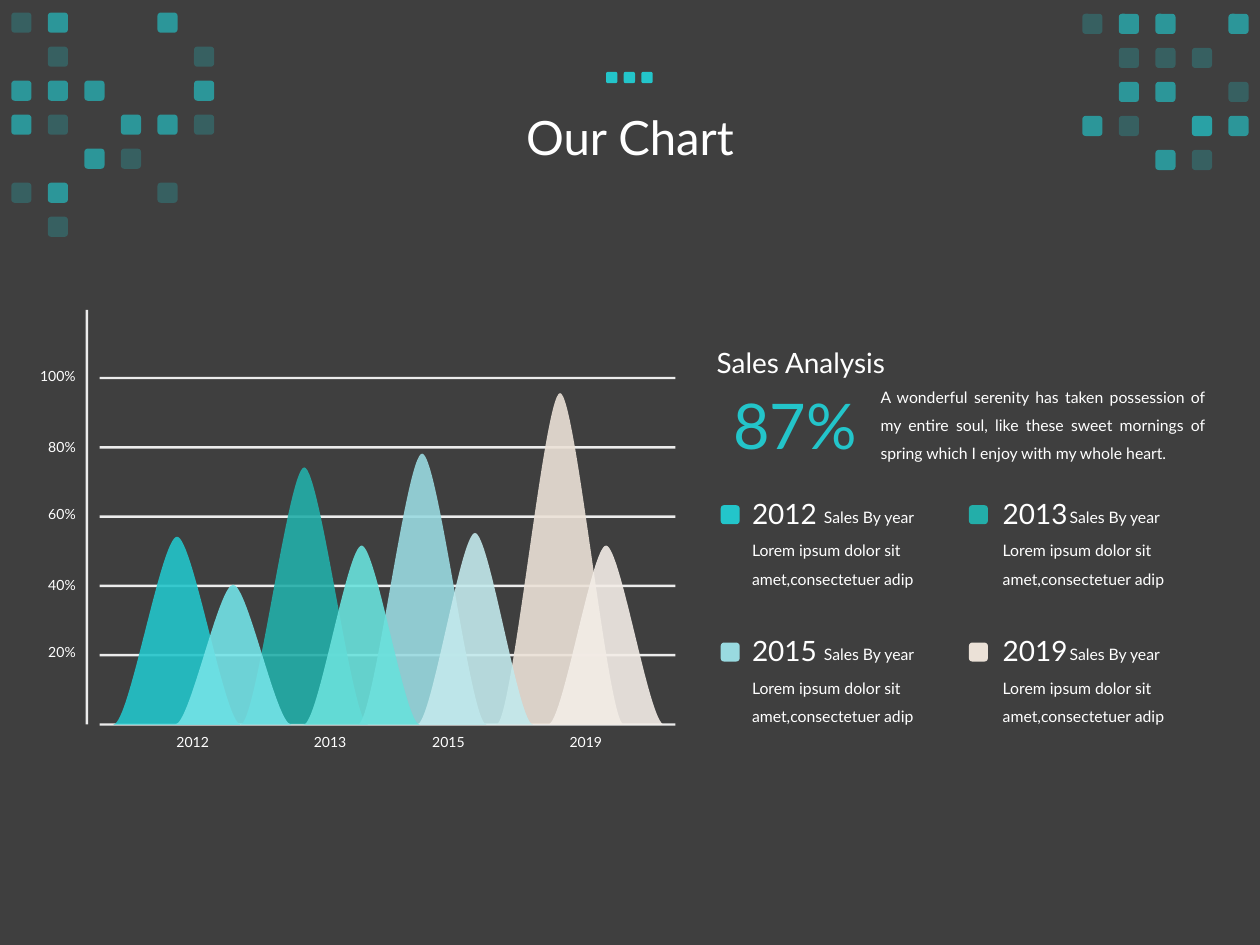
from lxml import etree
from pptx import Presentation
from pptx.dml.color import RGBColor
from pptx.enum.shapes import MSO_SHAPE as Shape
from pptx.enum.text import MSO_ANCHOR as Anchor, MSO_AUTO_SIZE as AutoSize, PP_ALIGN as Align
from pptx.oxml.ns import qn
from pptx.util import Inches, Pt

COLORS = {
    "background": "3F3F3F", "white": "FFFFFF", "accent": "23C5CA",
    "teal": "23AEA9", "sky": "99DAE0", "sand": "EBE1D7",
    "light_accent": "73E3E7", "light_teal": "69E1DC",
    "light_sky": "C2E9EC", "light_sand": "F3EDE7",
}
FONT = "Lato"


def paint(shape, color, alpha=100):
    shape.shadow.inherit = False
    shape.line.fill.background()
    shape.fill.solid()
    shape.fill.fore_color.rgb = RGBColor.from_string(COLORS[color])
    if alpha < 100:
        tint = shape.fill._xPr.find(qn("a:solidFill"))[0]
        etree.SubElement(tint, qn("a:alpha")).set("val", str(alpha * 1000))


def write(box, text, size, color="white", align=Align.LEFT, spacing=1.0, wrap=True):
    frame = box.text_frame
    frame.word_wrap = wrap
    frame.auto_size = AutoSize.NONE if wrap else AutoSize.SHAPE_TO_FIT_TEXT
    para = frame.paragraphs[0]
    para.alignment = align
    para.line_spacing = spacing
    span = para.add_run()
    span.text = text
    span.font.size = Pt(size)
    span.font.name = FONT
    span.font.color.rgb = RGBColor.from_string(COLORS[color])


deck = Presentation()
deck.slide_width, deck.slide_height = Inches(10), Inches(7.5)
page = deck.slides.add_slide(deck.slide_layouts[5])
shapes = page.shapes
page.background.fill.solid()
page.background.fill.fore_color.rgb = RGBColor.from_string(COLORS["background"])

title = shapes.title
title.left, title.top = Inches(0.69), Inches(0.39)
title.width, title.height = Inches(8.62), Inches(1.45)
title.text_frame.vertical_anchor = Anchor.MIDDLE
write(title, "Our Chart", 27, align=Align.CENTER, spacing=0.9)

for row in range(6):
    gridline = shapes.add_shape(
        Shape.RECTANGLE, Inches(0.79), Inches(2.99 + 0.55 * row), Inches(4.57), Inches(0.02))
    paint(gridline, "white", 90)
axis = shapes.add_shape(Shape.RECTANGLE, Inches(0.68), Inches(2.46), Inches(0.02), Inches(3.29))
paint(axis, "white", 90)

BASE = Inches(5.75)
peaks = [
    (0.9, 4.26, 1.01, "accent"), (3.94, 3.12, 1.01, "sand"),
    (1.91, 3.71, 1.01, "teal"), (2.84, 3.6, 1.02, "sky"),
    (1.39, 4.64, 0.92, "light_accent"), (4.35, 4.33, 0.92, "light_sand"),
    (3.31, 4.23, 0.92, "light_sky"), (2.41, 4.33, 0.92, "light_teal"),
]
for left, top, width, color in peaks:
    start, span_width, summit = Inches(left), Inches(width), Inches(top)
    outline = shapes.build_freeform(start, BASE)
    outline.add_line_segments([(start + span_width // 2, summit), (start + span_width, BASE)])
    peak = outline.convert_to_shape()
    paint(peak, color, 90)
    height = BASE - summit
    bends = [[(1 / 8, height), (3 / 8, 0)], [(5 / 8, 0), (7 / 8, height)]]
    for segment, bend in zip(list(peak._element.iter(qn("a:lnTo"))), bends):
        segment.tag = qn("a:cubicBezTo")
        for position, (share, y) in enumerate(bend):
            control = etree.Element(qn("a:pt"), x=str(int(span_width * share)), y=str(y))
            segment.insert(position, control)

for label, top in [("20%", 5.06), ("40%", 4.53), ("60%", 3.96), ("80%", 3.43), ("100%", 2.87)]:
    width = 0.49 if label == "100%" else 0.42
    box = shapes.add_textbox(Inches(0.7 - width), Inches(top), Inches(width), Inches(0.24))
    write(box, label, 8, align=Align.RIGHT, wrap=False)
for year, left in [("2012", 1.3), ("2013", 2.39), ("2015", 3.33), ("2019", 4.42)]:
    box = shapes.add_textbox(Inches(left), Inches(5.77), Inches(0.46), Inches(0.24))
    write(box, year, 8, align=Align.CENTER, wrap=False)

heading = shapes.add_textbox(Inches(5.59), Inches(2.69), Inches(1.63), Inches(0.37))
write(heading, "Sales Analysis", 16, wrap=False)
summary = shapes.add_textbox(Inches(6.89), Inches(2.95), Inches(2.77), Inches(0.75))
write(summary, "A wonderful serenity has taken possession of my entire soul, like these sweet "
      "mornings of spring which I enjoy with my whole heart.", 9, align=Align.JUSTIFY, spacing=1.5)
percentage = shapes.add_textbox(Inches(5.72), Inches(3.02), Inches(1.2), Inches(0.71))
write(percentage, "87%", 36, color="accent", wrap=False)

columns = [(5.72, 5.87, 6.44), (7.69, 7.86, 8.39)]
legend = [("2012", "accent"), ("2013", "teal"), ("2015", "sky"), ("2019", "sand")]
for index, (year, color) in enumerate(legend):
    marker_left, text_left, note_left = columns[index % 2]
    top = 3.89 + 1.09 * (index // 2)
    marker = shapes.add_shape(
        Shape.ROUNDED_RECTANGLE, Inches(marker_left), Inches(top + 0.12), Inches(0.15), Inches(0.15))
    paint(marker, color)
    for text, left, drop, width, height, size, spacing in [
        (year, text_left, 0, 0.85, 0.41, 16, 1.0),
        ("Sales By year", note_left, 0.09, 1.12, 0.22, 9, 1.0),
        ("Lorem ipsum dolor sit amet,consectetuer adip", text_left, 0.28, 1.65, 0.53, 9, 1.5),
    ]:
        box = shapes.add_textbox(Inches(left), Inches(top + drop), Inches(width), Inches(height))
        write(box, text, size, spacing=spacing)

TINTS = {".": [], "-": [25], "#": [65], "@": [65, 25]}
left_mosaic = ["-#..#.", ".-...-", "###..#", "#-.##-", "..#-..", "-#..-.", ".-...."]
right_mosaic = ["-##.#", ".---.", ".##.-", "#-.@#", "..#-."]
for left, top, mosaic in [(0.09, 0.1, left_mosaic), (8.59, 0.11, right_mosaic)]:
    group = shapes.add_group_shape()
    for row, line in enumerate(mosaic):
        for column, symbol in enumerate(line):
            for alpha in TINTS[symbol]:
                tile = group.shapes.add_shape(
                    Shape.ROUNDED_RECTANGLE, Inches(left + 0.29 * column),
                    Inches(top + 0.27 * row), Inches(0.16), Inches(0.16))
                paint(tile, "accent", alpha)

dots = shapes.add_group_shape()
for column in range(3):
    dot = dots.shapes.add_shape(
        Shape.ROUNDED_RECTANGLE, Inches(4.81 + 0.14 * column), Inches(0.57),
        Inches(0.09), Inches(0.09))
    paint(dot, "accent")

deck.save("out.pptx")
